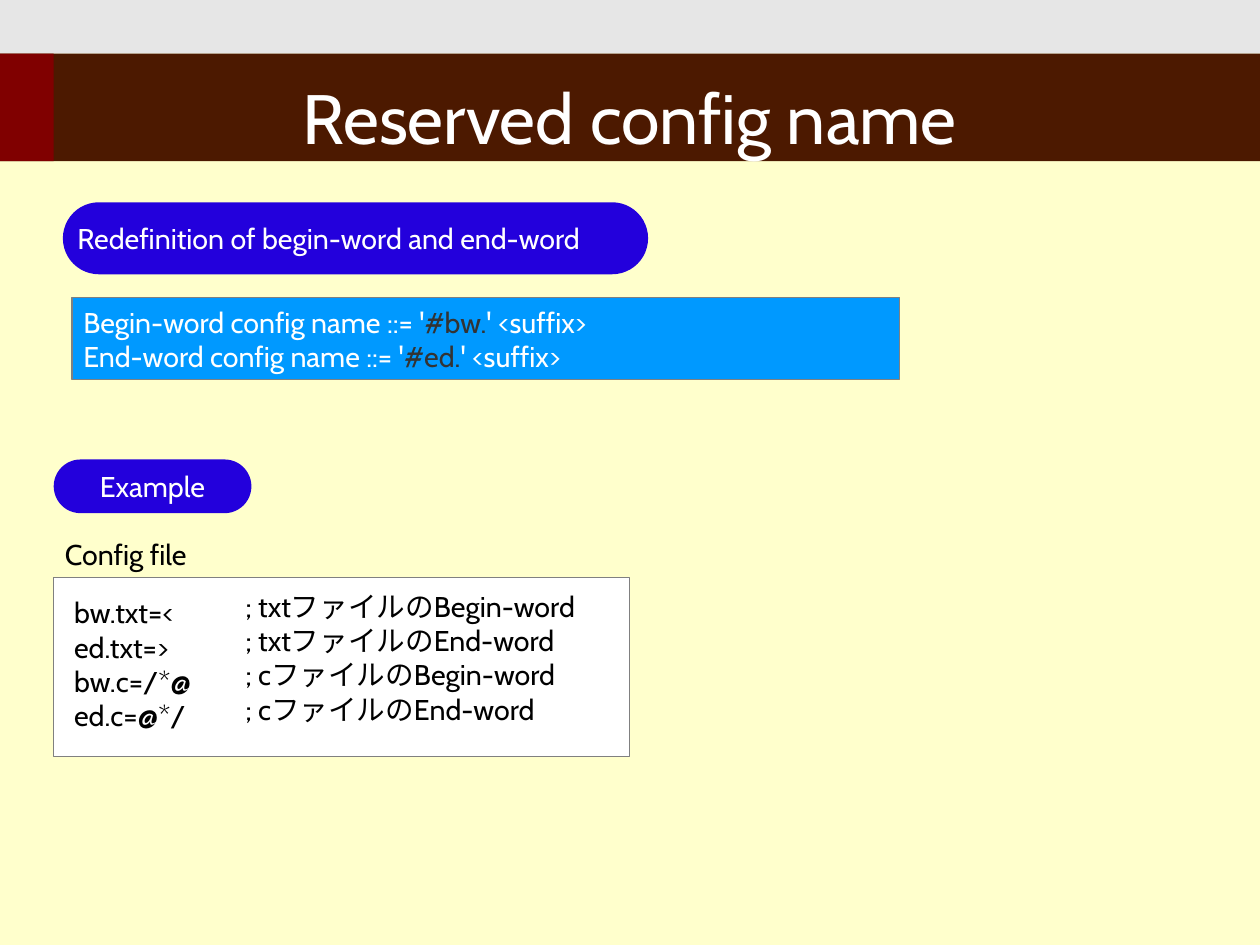
from pptx import Presentation
from pptx.dml.color import RGBColor
from pptx.enum.shapes import MSO_SHAPE
from pptx.enum.text import MSO_ANCHOR, PP_ALIGN
from pptx.util import Inches, Pt

RECT, PILL = MSO_SHAPE.RECTANGLE, MSO_SHAPE.ROUNDED_RECTANGLE
LEFT, CENTER = PP_ALIGN.LEFT, PP_ALIGN.CENTER
TOP, MIDDLE = MSO_ANCHOR.TOP, MSO_ANCHOR.MIDDLE

# Content: a paragraph is a list of (text, colour name) runs
TITLE = "Reserved config name"
TOPIC = "Redefinition of begin-word and end-word"
EXAMPLE = "Example"
FILE_LABEL = "Config file"
SYNTAX = [("Begin-word", "#bw."), ("End-word", "#ed.")]
SETTINGS = [
    ("bw.txt=<", "; txtファイルのBegin-word"),
    ("ed.txt=>", "; txtファイルのEnd-word"),
    ("bw.c=/*@", "; cファイルのBegin-word"),
    ("ed.c=@*/", "; cファイルのEnd-word"),
]

THEME = {
    "font": "Cabin", "title": 44, "body": 18,
    "page": "FFFFCC", "strip": "E6E6E6", "band": "4C1900", "corner": "800000",
    "pill": "2300DC", "syntax": "0099FF", "line": "808080",
    "white": "FFFFFF", "black": "000000", "keyword": "333333",
}

# The page is 28 by 21 cm, in inches
WIDTH, HEIGHT = 28 / 2.54, 21 / 2.54
STRIP, BAND = 0.47, 0.94

prs = Presentation()
prs.slide_width, prs.slide_height = Inches(WIDTH), Inches(HEIGHT)
s = prs.slides.add_slide(prs.slide_layouts[6])


def color(name):
    return RGBColor.from_string(THEME[name])


def add_box(box, fill, kind=RECT, line=None):
    sp = s.shapes.add_shape(kind, *map(Inches, box))
    sp.shadow.inherit = False
    sp.fill.solid()
    sp.fill.fore_color.rgb = color(fill)
    if line:
        sp.line.color.rgb = color(line)
        sp.line.width = Pt(0)
    else:
        sp.line.fill.background()
    if kind == PILL:
        sp.adjustments[0] = 0.5
    return sp


def write(sp, paragraphs, size="body", align=LEFT, anchor=TOP, wrap=True):
    tf = sp.text_frame
    tf.word_wrap = wrap
    tf.vertical_anchor = anchor
    for i, runs in enumerate(paragraphs):
        p = tf.add_paragraph() if i else tf.paragraphs[0]
        p.alignment = align
        for text, name in runs:
            r = p.add_run()
            r.text = text
            r.font.name = THEME["font"]
            r.font.size = Pt(THEME[size])
            r.font.color.rgb = color(name)
    return tf


def add_text(box, paragraphs, **style):
    return write(s.shapes.add_textbox(*map(Inches, box)), paragraphs, **style)


# Page background and header bands
add_box((0, 0, WIDTH, HEIGHT), "page")
add_box((0, 0, WIDTH, STRIP), "strip")
add_box((0, STRIP, WIDTH, BAND), "band")
add_box((0, STRIP, STRIP, BAND), "corner")

# Syntax panel
add_box((0.63, 2.6, 7.24, 0.72), "syntax", line="line")
add_text((0.63, 2.62, 5.35, 0.78), [
    [(f"{word} config name ::= '", "white"), (prefix, "keyword"),
     ("' <suffix>", "white")]
    for word, prefix in SYNTAX
])

# Title
tf = add_text((0.55, 0.33, 9.92, 1.38), [[(TITLE, "white")]],
              size="title", align=CENTER, anchor=MIDDLE)
tf.margin_left = tf.margin_right = tf.margin_top = tf.margin_bottom = 0

# Topic heading
add_box((0.55, 1.77, 5.12, 0.63), "pill", PILL)
add_text((0.58, 1.88, 5.17, 0.52), [[(TOPIC, "white")]])

# Config file panel: settings beside their comments
add_box((0.47, 5.05, 5.04, 1.57), "white", line="line")
columns = [(0.55, 5.16, 1.89, 1.46), (2.05, 5.1, 3.31, 1.55)]
for box, texts in zip(columns, zip(*SETTINGS)):
    add_text(box, [[(text, "black")] for text in texts])
add_text((0.47, 4.65, 2.76, 0.44), [[(FILE_LABEL, "black")]])

# Example heading
write(add_box((0.47, 4.02, 1.73, 0.47), "pill", PILL), [[(EXAMPLE, "white")]],
      align=CENTER, anchor=MIDDLE, wrap=False)

prs.save("out.pptx")
